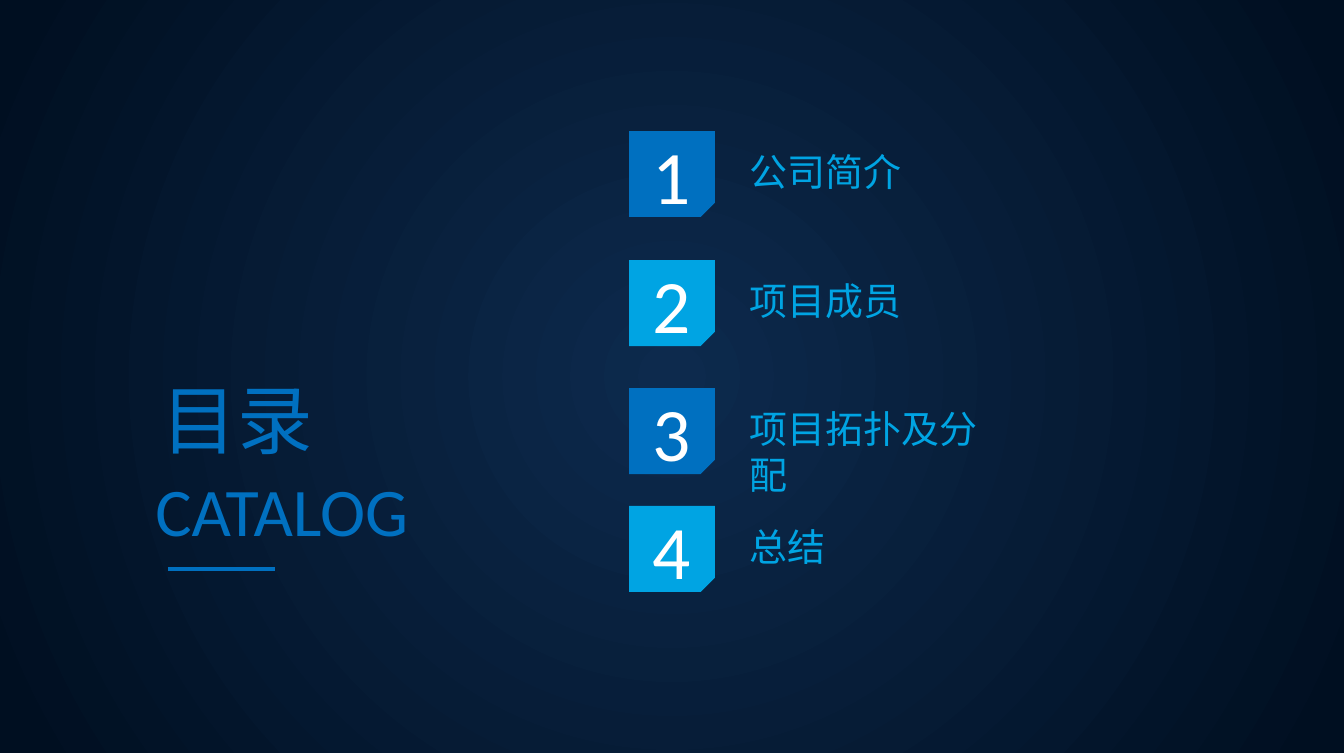
import lxml.etree
import pptx
import pptx.dml.color
import pptx.enum.shapes
import pptx.enum.text
import pptx.oxml.ns
import pptx.util

EMU_PER_PX = 6694
COLORS = {
    "blue": "0070C0",
    "cyan": "00A4E3",
    "white": "FFFFFF",
    "glow": "0D2A4D",
    "night": "000F21",
}
LATIN = "Calibri"
CHINESE = "Noto Sans CJK SC"
CHAPTERS = [
    ("公司简介", 131, "blue"),
    ("项目成员", 260, "cyan"),
    ("项目拓扑及分配", 388, "blue"),
    ("总结", 506, "cyan"),
]


def px(*lengths):
    return [pptx.util.Emu(length * EMU_PER_PX) for length in lengths]


def rgb(name):
    return pptx.dml.color.RGBColor.from_string(COLORS[name])


def add_child(parent, tag, **attributes):
    return lxml.etree.SubElement(parent, pptx.oxml.ns.qn(tag), **attributes)


def write(holder, text, size, color, font, align="LEFT", wrap=False):
    frame = holder.text_frame
    frame.word_wrap = wrap
    frame.auto_size = pptx.enum.text.MSO_AUTO_SIZE.NONE
    frame.vertical_anchor = pptx.enum.text.MSO_ANCHOR.TOP
    paragraph = frame.paragraphs[0]
    paragraph.alignment = pptx.enum.text.PP_ALIGN[align]
    run = paragraph.add_run()
    run.text = text
    run.font.size = pptx.util.Pt(size)
    run.font.color.rgb = rgb(color)
    run.font.name = font
    add_child(run.font._element, "a:ea", typeface=font)


def paint_background(slide):
    fill = slide.background.fill
    fill.gradient()
    for stop, color, position in zip(fill.gradient_stops, ("glow", "night"), (0, 0.97)):
        stop.color.rgb = rgb(color)
        stop.position = position
    gradient = slide.element.find(".//" + pptx.oxml.ns.qn("a:gradFill"))
    gradient.remove(gradient.find(pptx.oxml.ns.qn("a:lin")))
    circle = add_child(gradient, "a:path", path="circle")
    add_child(circle, "a:fillToRect", l="50000", t="50000", r="50000", b="50000")


def build_heading(slide, left, top):
    title = slide.shapes.title
    title.left, title.top, title.width, title.height = px(left + 6, top, 180, 105)
    write(title, "目录", size=39.8, color="blue", font=CHINESE)

    subtitle = slide.shapes.add_textbox(*px(left, top + 96, 283, 96))
    write(subtitle, "CATALOG", size=35.9, color="blue", font=LATIN)

    underline = slide.shapes.add_connector(
        pptx.enum.shapes.MSO_CONNECTOR.STRAIGHT,
        *px(left + 26, top + 203, left + 133, top + 203),
    )
    underline.line.color.rgb = rgb("blue")
    underline.line.width = pptx.util.Pt(2)
    add_child(underline.element.spPr, "a:effectLst")


def build_chapter(slide, left, top, side, number, name, color):
    tile = slide.shapes.add_shape(
        pptx.enum.shapes.MSO_SHAPE.SNIP_1_RECTANGLE, *px(left, top, side, side)
    )
    tile.rotation = 90
    tile.shadow.inherit = False
    tile.fill.solid()
    tile.fill.fore_color.rgb = rgb(color)
    tile.line.fill.background()

    numeral = slide.shapes.add_textbox(*px(left + 10, top - 9, side - 20, side + 19))
    write(numeral, str(number), size=39.8, color="white", font=LATIN, align="CENTER")

    label = slide.shapes.add_textbox(*px(left + side + 21, top + 11, 273, 63))
    write(label, name, size=20, color="cyan", font=CHINESE, wrap=True)


def main():
    deck = pptx.Presentation()
    deck.slide_width, deck.slide_height = px(1344, 753)
    slide = deck.slides.add_slide(deck.slide_layouts.get_by_name("Title Only"))
    paint_background(slide)
    build_heading(slide, left=142, top=366)
    for number, (name, top, color) in enumerate(CHAPTERS, start=1):
        build_chapter(slide, 629, top, 86, number, name, color)
    deck.save("out.pptx")


if __name__ == "__main__":
    main()
